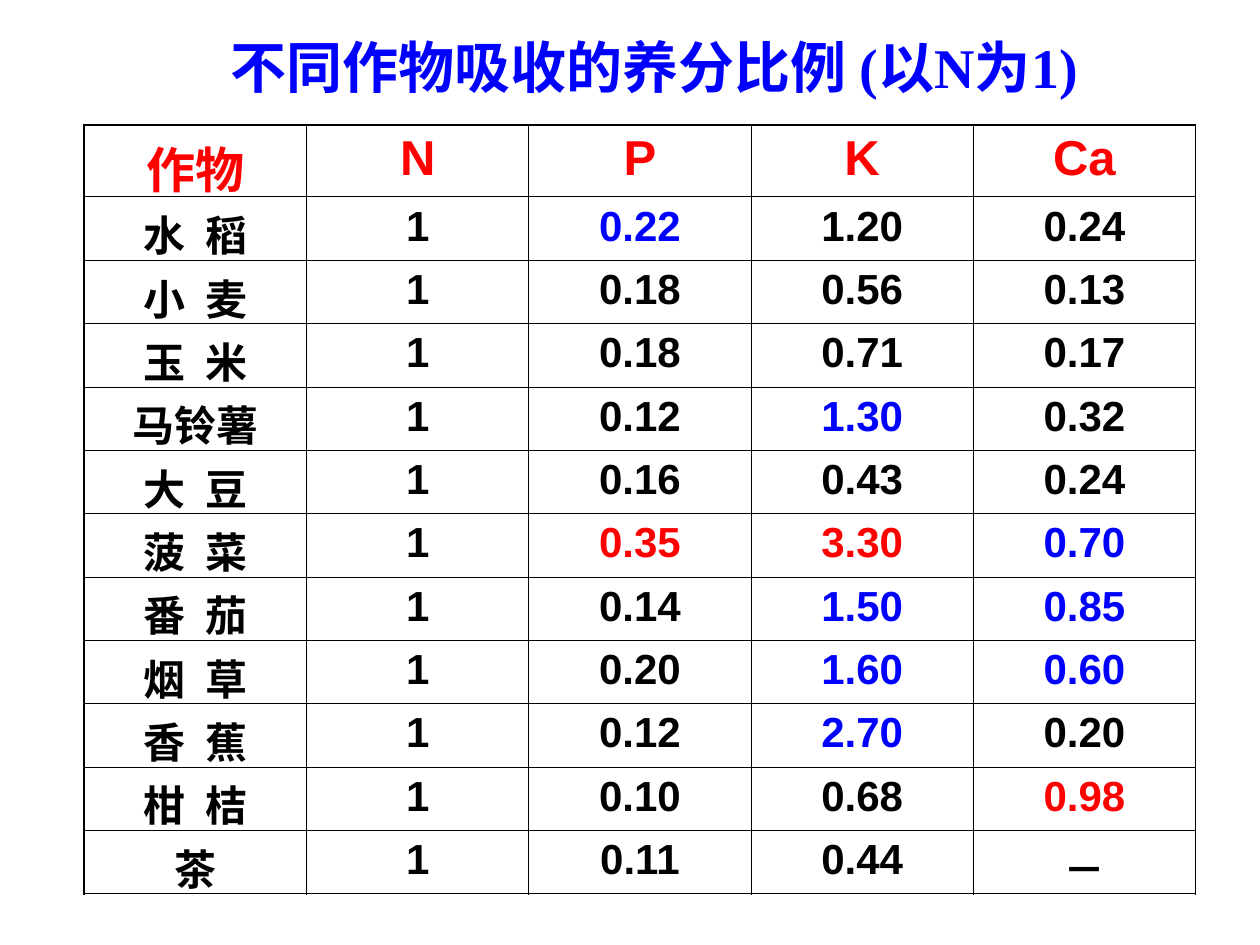
from lxml import etree
from pptx import Presentation
from pptx.dml.color import RGBColor
from pptx.enum.text import PP_ALIGN
from pptx.oxml.ns import qn
from pptx.util import Pt

CENTER = PP_ALIGN.CENTER
HEX = {"red": "FF0000", "blue": "0000FF", "black": "000000"}
HEADS = ["作物", "N", "P", "K", "Ca"]
CROPS = [
    ["水 稻", "1", "0.22", "1.20", "0.24"],
    ["小 麦", "1", "0.18", "0.56", "0.13"],
    ["玉 米", "1", "0.18", "0.71", "0.17"],
    ["马铃薯", "1", "0.12", "1.30", "0.32"],
    ["大 豆", "1", "0.16", "0.43", "0.24"],
    ["菠 菜", "1", "0.35", "3.30", "0.70"],
    ["番 茄", "1", "0.14", "1.50", "0.85"],
    ["烟 草", "1", "0.20", "1.60", "0.60"],
    ["香 蕉", "1", "0.12", "2.70", "0.20"],
    ["柑 桔", "1", "0.10", "0.68", "0.98"],
    ["茶", "1", "0.11", "0.44", "－"],
]
TINTS = {
    (1, 2): "blue", (4, 3): "blue", (6, 2): "red", (6, 3): "red",
    (6, 4): "blue", (7, 3): "blue", (7, 4): "blue", (8, 3): "blue",
    (8, 4): "blue", (9, 3): "blue", (10, 4): "red",
}


def write(frame, text, size, face, tint):
    para = frame.paragraphs[0]
    para.text = text
    para.alignment = CENTER
    font = para.font
    font.size = Pt(size)
    font.name = face
    font.bold = True
    font.color.rgb = RGBColor.from_string(HEX[tint])
    return para


def border(cell, sides):
    props = cell._tc.get_or_add_tcPr()
    for side, width in sides.items():
        line = etree.SubElement(props, qn("a:ln" + side), w=str(int(Pt(width))))
        fill = etree.SubElement(line, qn("a:solidFill"))
        etree.SubElement(fill, qn("a:srgbClr"), val=HEX["black"])


deck = Presentation()
deck.slide_width, deck.slide_height = Pt(720), Pt(540)
slide = deck.slides.add_slide(deck.slide_layouts[6])

title = slide.shapes.add_textbox(Pt(64.8), Pt(15.1), Pt(617.8), Pt(46))
title.text_frame.word_wrap = True
write(title.text_frame, "不同作物吸收的养分比例 (以N为1)", 32, "Times New Roman", "blue")

rows = [HEADS] + CROPS
last, end = len(rows) - 1, len(HEADS) - 1
frame = slide.shapes.add_table(len(rows), len(HEADS), Pt(48.2), Pt(71.5), Pt(635), Pt(439.2))
table = frame.table
table.first_row = False
table.horz_banding = False
for col in table.columns:
    col.width = Pt(127)
for r, row in enumerate(rows):
    table.rows[r].height = Pt(36.2 if r else 41)
    for c, text in enumerate(row):
        cell = table.cell(r, c)
        face = "Arial" if c else "Montserrat"
        tint = TINTS.get((r, c), "black") if r else "red"
        para = write(cell.text_frame, text, 24 if r else 28, face, tint)
        if " " in text:
            para.runs[0]._r.get_or_add_rPr().set("spc", "300")
        border(cell, {
            "L": 0.45 if c else 1.08,
            "R": 1.08 if c == end else 0.45,
            "T": 0.45 if r else 1.08,
            "B": 1.08 if r == last else 0.45,
        })
        cell.fill.background()

deck.save("out.pptx")
